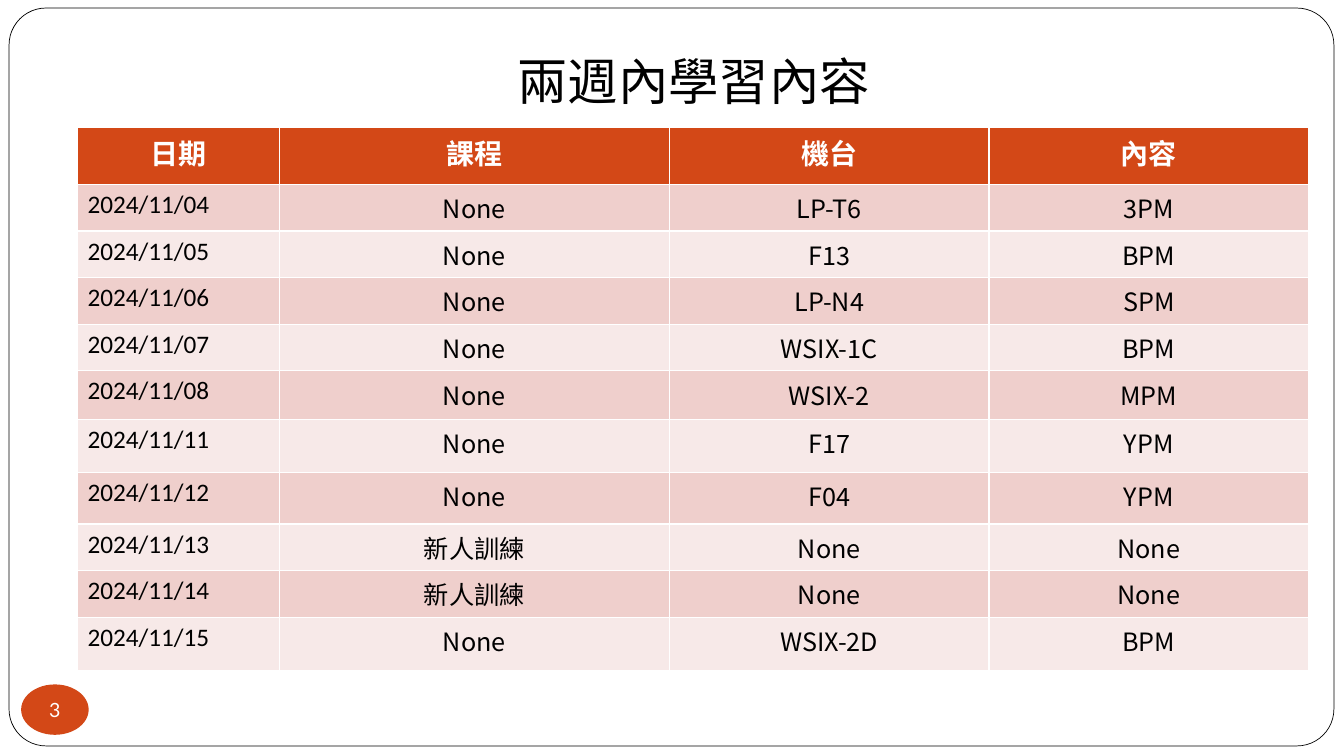
from typing import NamedTuple

from lxml.etree import SubElement
from pptx import Presentation
from pptx.dml.color import RGBColor
from pptx.enum.shapes import MSO_SHAPE
from pptx.enum.text import MSO_ANCHOR, MSO_AUTO_SIZE, PP_ALIGN
from pptx.oxml.ns import qn
from pptx.shapes.autoshape import Shape
from pptx.slide import Slide
from pptx.text.text import TextFrame
from pptx.util import Inches, Pt

BLACK = RGBColor(0x00, 0x00, 0x00)
WHITE = RGBColor(0xFF, 0xFF, 0xFF)
ORANGE = RGBColor(0xD3, 0x48, 0x17)
ROSE = RGBColor(0xEF, 0xCF, 0xCC)
PALE = RGBColor(0xF7, 0xE9, 0xE8)
CJK = "Noto Sans CJK SC"
LATIN = "Calibri"

HEADS = ("日期", "課程", "機台", "內容")
WIDTHS = (2, 3.87, 3.17, 3.17)


class Box(NamedTuple):
    left: float
    top: float
    width: float
    height: float


class Day(NamedTuple):
    date: str
    course: str
    machine: str
    topic: str
    height: float = 0.46


DAYS = (
    Day("2024/11/04", "None", "LP-T6", "3PM"),
    Day("2024/11/05", "None", "F13", "BPM"),
    Day("2024/11/06", "None", "LP-N4", "SPM"),
    Day("2024/11/07", "None", "WSIX-1C", "BPM"),
    Day("2024/11/08", "None", "WSIX-2", "MPM", 0.48),
    Day("2024/11/11", "None", "F17", "YPM", 0.53),
    Day("2024/11/12", "None", "F04", "YPM", 0.51),
    Day("2024/11/13", "新人訓練", "None", "None", 0.46),
    Day("2024/11/14", "新人訓練", "None", "None"),
    Day("2024/11/15", "None", "WSIX-2D", "BPM", 0.53),
)


def write(frame: TextFrame, text: str, size: float, face: str,
          color: RGBColor, align: PP_ALIGN = PP_ALIGN.CENTER,
          bold: bool = False) -> None:
    frame.text = text
    para = frame.paragraphs[0]
    para.alignment = align
    font = para.font
    font.size, font.name, font.bold = Pt(size), face, bold
    font.color.rgb = color
    props = para._p.pPr.find(qn("a:defRPr"))
    SubElement(props, qn("a:ea")).set("typeface", CJK)


def add_form(slide: Slide, kind: MSO_SHAPE, box: Box, fill: RGBColor) -> Shape:
    form = slide.shapes.add_shape(kind, *map(Inches, box))
    form.shadow.inherit = False
    form.fill.solid()
    form.fill.fore_color.rgb = fill
    form.line.fill.background()
    return form


def add_frame(slide: Slide) -> None:
    frame = add_form(slide, MSO_SHAPE.ROUNDED_RECTANGLE,
                     Box(0.09, 0.08, 13.14, 7.32), WHITE)
    frame.adjustments[0] = 0.05
    frame.line.color.rgb = BLACK
    frame.line.width = Pt(0.5)


def add_badge(slide: Slide) -> None:
    badge = add_form(slide, MSO_SHAPE.OVAL, Box(0.21, 6.79, 0.67, 0.5), ORANGE)
    text = badge.text_frame
    text.margin_left = text.margin_right = 0
    text.margin_top = text.margin_bottom = 0
    text.word_wrap = False
    text.vertical_anchor = MSO_ANCHOR.MIDDLE
    write(text, "3", 14, "Lato", WHITE)


def add_plan(slide: Slide) -> None:
    """Add the table of dates, courses, machines and topics."""
    heights = (0.57, *(day.height for day in DAYS))
    box = Box(0.77, 1.26, sum(WIDTHS), sum(heights))
    table = slide.shapes.add_table(len(heights), len(WIDTHS),
                                   *map(Inches, box)).table
    for column, width in zip(table.columns, WIDTHS):
        column.width = Inches(width)
    for row, height in zip(table.rows, heights):
        row.height = Inches(height)
    rows = (HEADS, *(day[:4] for day in DAYS))
    for r, texts in enumerate(rows):
        for c, text in enumerate(texts):
            cell = table.cell(r, c)
            cell.fill.solid()
            if r == 0:
                cell.fill.fore_color.rgb = ORANGE
                write(cell.text_frame, text, 20, LATIN, WHITE, bold=True)
                continue
            cell.fill.fore_color.rgb = ROSE if r % 2 else PALE
            face, align = ((CJK, PP_ALIGN.CENTER) if c
                           else (LATIN, PP_ALIGN.LEFT))
            write(cell.text_frame, text, 18, face, BLACK, align)


def add_title(slide: Slide) -> None:
    """Fill the title and bring it in front of the frame."""
    title = slide.shapes.title
    title.left, title.top, title.width, title.height = map(
        Inches, Box(1.98, 0.44, 9.8, 0.71))
    text = title.text_frame
    text.auto_size = MSO_AUTO_SIZE.NONE
    text.word_wrap = True
    text.vertical_anchor = MSO_ANCHOR.MIDDLE
    write(text, "兩週內學習內容", 36, CJK, BLACK)
    title.element.getparent().append(title.element)


def main() -> None:
    deck = Presentation()
    deck.slide_width, deck.slide_height = Inches(13.33), Inches(7.5)
    slide = deck.slides.add_slide(deck.slide_layouts[5])
    add_frame(slide)
    add_badge(slide)
    add_plan(slide)
    add_title(slide)
    deck.save("out.pptx")


if __name__ == "__main__":
    main()
